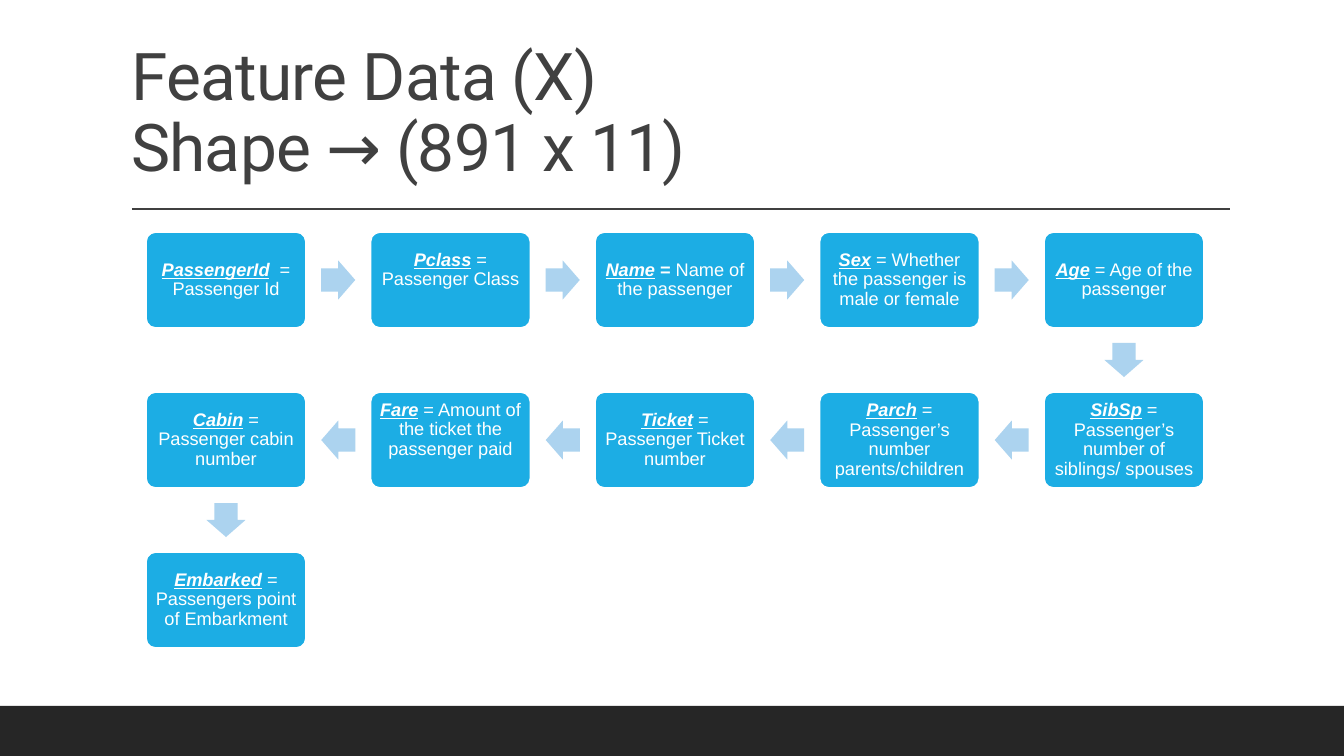
from itertools import pairwise

from lxml.etree import SubElement
from pptx import Presentation
from pptx.dml.color import RGBColor
from pptx.enum.shapes import MSO_CONNECTOR, MSO_SHAPE
from pptx.enum.text import MSO_ANCHOR, MSO_AUTO_SIZE, PP_ALIGN
from pptx.oxml.ns import qn
from pptx.util import Pt

EMU_PER_PX = 914400 / 100.8
COLORS = {"text": "404040", "white": "FFFFFF", "box": "1CADE4",
          "arrow": "ACD3EF", "footer": "262626"}
COLUMNS = 5
BOX_WIDTH, BOX_HEIGHT = 160, 96
ROW_PITCH = 160
ARROW_LENGTH, ARROW_BREADTH = 34, 39
INSET = 5
TEXT_LINE = 20

# Feature name, bold text after it, description, blank lines below
FEATURES = [
    ("PassengerId", " ", " = Passenger Id", 0),
    ("Pclass", "", " = Passenger Class", 1),
    ("Name", " = ", "Name of the passenger", 0),
    ("Sex", "", " = Whether the passenger is male or female", 0),
    ("Age", "", " = Age of the passenger", 0),
    ("SibSp", "", " = Passenger’s number of siblings/ spouses", 0),
    ("Parch", "", " = Passenger’s number parents/children", 0),
    ("Ticket", "", " = Passenger Ticket number", 0),
    ("Fare", "", " = Amount of the ticket the passenger paid", 1),
    ("Cabin", "", " = Passenger cabin number", 0),
    ("Embarked", "", " = Passengers point of Embarkment", 0),
]


def px(length):
    return round(length * EMU_PER_PX)


def color(name):
    return RGBColor.from_string(COLORS[name])


def add_run(paragraph, text, font_name, size, color_name):
    run = paragraph.add_run()
    run.text = text
    run.font.name = font_name
    run.font.size = Pt(size)
    run.font.color.rgb = color(color_name)
    return run


def add_filled(slide, kind, left, top, width, height, fill):
    shape = slide.shapes.add_shape(kind, px(left), px(top), px(width), px(height))
    shape.shadow.inherit = False
    shape.fill.solid()
    shape.fill.fore_color.rgb = color(fill)
    shape.line.fill.background()
    return shape


def add_heading(slide, left, top, width, height):
    title = slide.shapes.title
    title.left, title.top = px(left), px(top)
    title.width, title.height = px(width), px(height)
    frame = title.text_frame
    frame.auto_size = MSO_AUTO_SIZE.NONE
    frame.vertical_anchor = MSO_ANCHOR.BOTTOM
    heading = frame.paragraphs[0]
    heading.alignment = PP_ALIGN.LEFT
    heading.line_spacing = 0.9
    for number, line in enumerate(("Feature Data (X) ", "Shape → (891 x 11)")):
        if number:
            heading.add_line_break()
        run = add_run(heading, line, "Roboto", 47, "text")
        run.font._element.set("spc", "-50")


def add_rule(slide, left, top, width):
    rule = slide.shapes.add_connector(
        MSO_CONNECTOR.STRAIGHT, px(left), px(top), px(left + width), px(top))
    rule.line.color.rgb = color("text")
    rule.line.width = Pt(1)
    SubElement(rule._element.spPr, qn("a:effectLst"))


def add_feature(slide, left, top, feature):
    name, bold_text, description, blank_lines = feature
    box = add_filled(slide, MSO_SHAPE.ROUNDED_RECTANGLE,
                     left, top, BOX_WIDTH, BOX_HEIGHT, "box")
    box.adjustments[0] = 0.1
    box.line.color.rgb = color("white")
    box.line.width = Pt(1.25)
    frame = box.text_frame
    frame.word_wrap = True
    frame.vertical_anchor = MSO_ANCHOR.MIDDLE
    frame.margin_left = frame.margin_right = frame.margin_top = px(INSET)
    frame.margin_bottom = px(INSET + blank_lines * TEXT_LINE)
    paragraph = frame.paragraphs[0]
    paragraph.alignment = PP_ALIGN.CENTER
    paragraph.line_spacing = 0.9
    for text, bold, emphasis in ((name, True, True), (bold_text, True, False),
                                 (description, False, False)):
        if text:
            font = add_run(paragraph, text, "Arial", 13, "white").font
            font.bold = bold
            font.italic = font.underline = emphasis


def add_flow_arrow(slide, start, end):
    """Place an arrow midway between the boxes whose top-left corners are given."""
    center_x = (start[0] + end[0] + BOX_WIDTH) / 2
    center_y = (start[1] + end[1] + BOX_HEIGHT) / 2
    arrow = add_filled(slide, MSO_SHAPE.RIGHT_ARROW,
                       center_x - ARROW_LENGTH / 2, center_y - ARROW_BREADTH / 2,
                       ARROW_LENGTH, ARROW_BREADTH, "arrow")
    arrow.adjustments[0] = 0.6
    arrow.adjustments[1] = 0.5
    if end[1] > start[1]:
        arrow.rotation = 90
    elif end[0] < start[0]:
        arrow.rotation = 180


def add_feature_flow(slide, left, top, width):
    """Lay the features out in rows that run right and left by turns."""
    corners = []
    for index in range(len(FEATURES)):
        row, column = divmod(index, COLUMNS)
        if row % 2:
            column = COLUMNS - 1 - column
        corners.append((left + column * (width - BOX_WIDTH) / (COLUMNS - 1),
                        top + row * ROW_PITCH))
    for corner, feature in zip(corners, FEATURES):
        add_feature(slide, *corner, feature)
    for start, end in pairwise(corners):
        add_flow_arrow(slide, start, end)


def main():
    presentation = Presentation()
    presentation.slide_width = px(1344)
    presentation.slide_height = px(756)
    slide = presentation.slides.add_slide(presentation.slide_layouts[5])
    add_heading(slide, 121, 31, 1109, 160)
    add_rule(slide, 132, 209, 1098)
    add_filled(slide, MSO_SHAPE.RECTANGLE, 0, 706, 1344, 50, "footer")
    add_feature_flow(slide, 146, 232, 1058)
    presentation.save("out.pptx")


if __name__ == "__main__":
    main()
